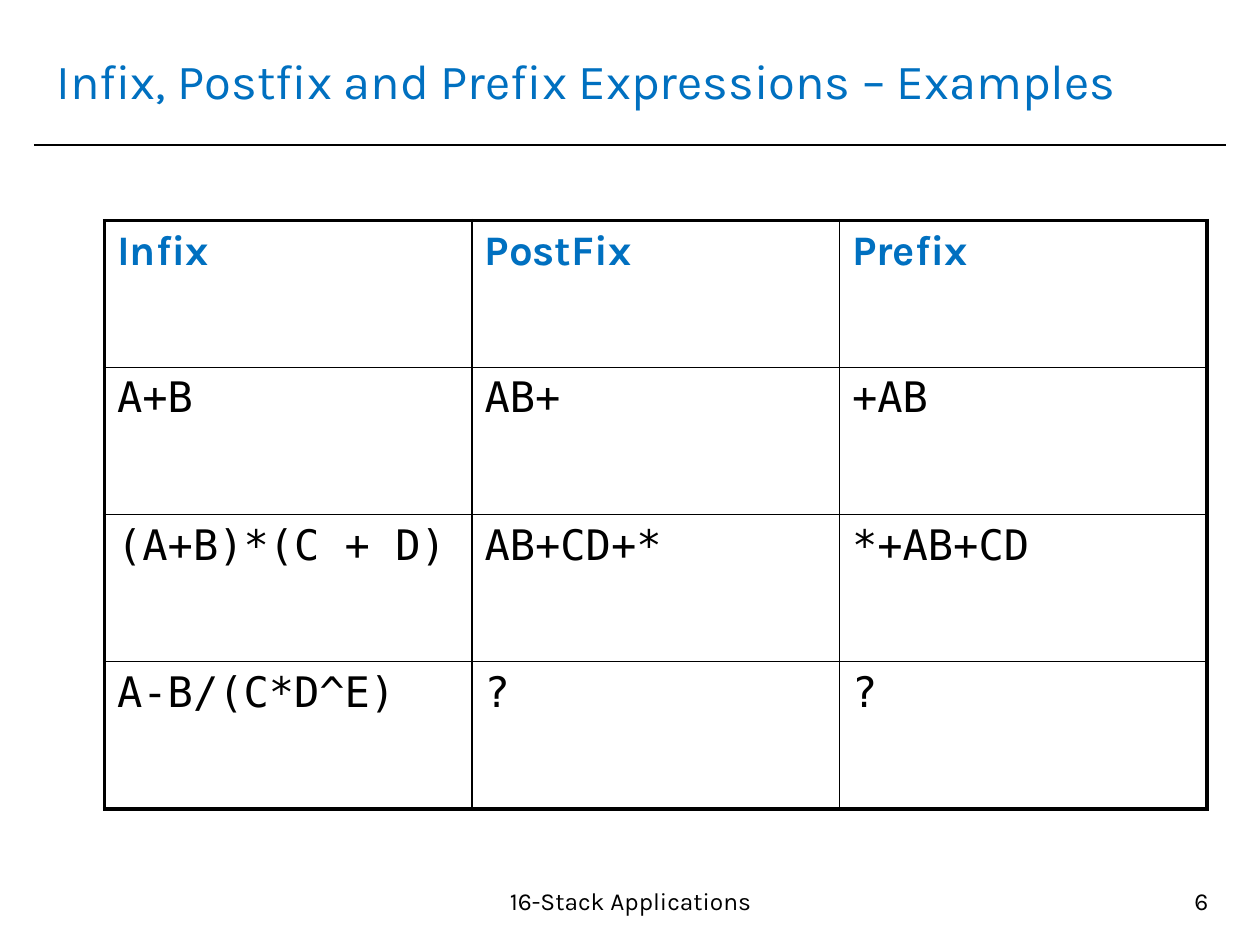
from dataclasses import dataclass

from lxml.etree import SubElement
from pptx import Presentation
from pptx.dml.color import RGBColor
from pptx.enum.shapes import MSO_CONNECTOR
from pptx.enum.text import MSO_ANCHOR, PP_ALIGN
from pptx.oxml.ns import qn
from pptx.util import Inches, Pt


@dataclass(frozen=True)
class Theme:
    accent: RGBColor = RGBColor(0x00, 0x70, 0xC0)
    ink: RGBColor = RGBColor(0x00, 0x00, 0x00)
    font: str = "Karla"
    code_font: str = "DejaVu Sans Mono"
    title_size: int = 28
    table_size: int = 24
    footer_size: int = 14
    thin: float = 1
    thick: float = 2.25


THEME = Theme()

EXPRESSIONS = [
    ["Infix", "PostFix", "Prefix"],
    ["A+B", "AB+", "+AB"],
    ["(A+B)*(C + D)", "AB+CD+*", "*+AB+CD"],
    ["A-B/(C*D^E)", "?", "?"],
]


def set_text(tf, text, size, color, font=THEME.font, bold=False):
    tf.text = text
    f = tf.paragraphs[0].runs[0].font
    f.name, f.size, f.bold = font, Pt(size), bold
    f.color.rgb = color


def add_text(s, box, text, size, color, align=PP_ALIGN.LEFT, anchor=MSO_ANCHOR.TOP):
    tf = s.shapes.add_textbox(*map(Inches, box)).text_frame
    tf.word_wrap = True
    tf.vertical_anchor = anchor
    set_text(tf, text, size, color)
    tf.paragraphs[0].alignment = align


def add_rule(s, left, right, y):
    line = s.shapes.add_connector(
        MSO_CONNECTOR.STRAIGHT, Inches(left), Inches(y), Inches(right), Inches(y))
    line.line.color.rgb = THEME.ink
    line.line.width = Pt(THEME.thin)
    SubElement(line._element.spPr, qn("a:effectLst"))


def set_borders(cell, outer_sides):
    """Draw all four borders, thick on the table's outer sides."""
    tc_pr = cell._tc.get_or_add_tcPr()
    for side in "LRTB":
        width = THEME.thick if side in outer_sides else THEME.thin
        ln = SubElement(tc_pr, qn(f"a:ln{side}"), w=str(Pt(width)))
        fill = SubElement(ln, qn("a:solidFill"))
        SubElement(fill, qn("a:srgbClr"), val=str(THEME.ink))


def add_expression_table(s, box, rows):
    n_rows, n_cols = len(rows), len(rows[0])
    table = s.shapes.add_table(n_rows, n_cols, *map(Inches, box)).table
    table.horz_banding = False
    for i, row in enumerate(rows):
        for j, text in enumerate(row):
            cell = table.cell(i, j)
            if i == 0:
                set_text(cell.text_frame, text, THEME.table_size, THEME.accent, bold=True)
            else:
                set_text(cell.text_frame, text, THEME.table_size, THEME.ink, THEME.code_font)
            edges = {"L": j == 0, "R": j == n_cols - 1, "T": i == 0, "B": i == n_rows - 1}
            set_borders(cell, [side for side, outer in edges.items() if outer])
            cell.fill.background()


def main():
    prs = Presentation()
    prs.slide_width, prs.slide_height = Inches(10), Inches(7.5)
    s = prs.slides.add_slide(prs.slide_layouts[6])
    add_rule(s, 0.27, 9.73, 1.15)
    add_text(s, (0.35, 0.21, 9.29, 0.85), "Infix, Postfix and Prefix Expressions – Examples",
             THEME.title_size, THEME.accent, anchor=MSO_ANCHOR.MIDDLE)
    add_expression_table(s, (0.83, 1.75, 8.75, 4.67), EXPRESSIONS)
    add_text(s, (3.35, 6.98, 3.31, 0.52), "16-Stack Applications",
             THEME.footer_size, THEME.ink, PP_ALIGN.CENTER)
    add_text(s, (7.36, 6.98, 2.33, 0.52), "6",
             THEME.footer_size, THEME.ink, PP_ALIGN.RIGHT)
    prs.save("out.pptx")


if __name__ == "__main__":
    main()
